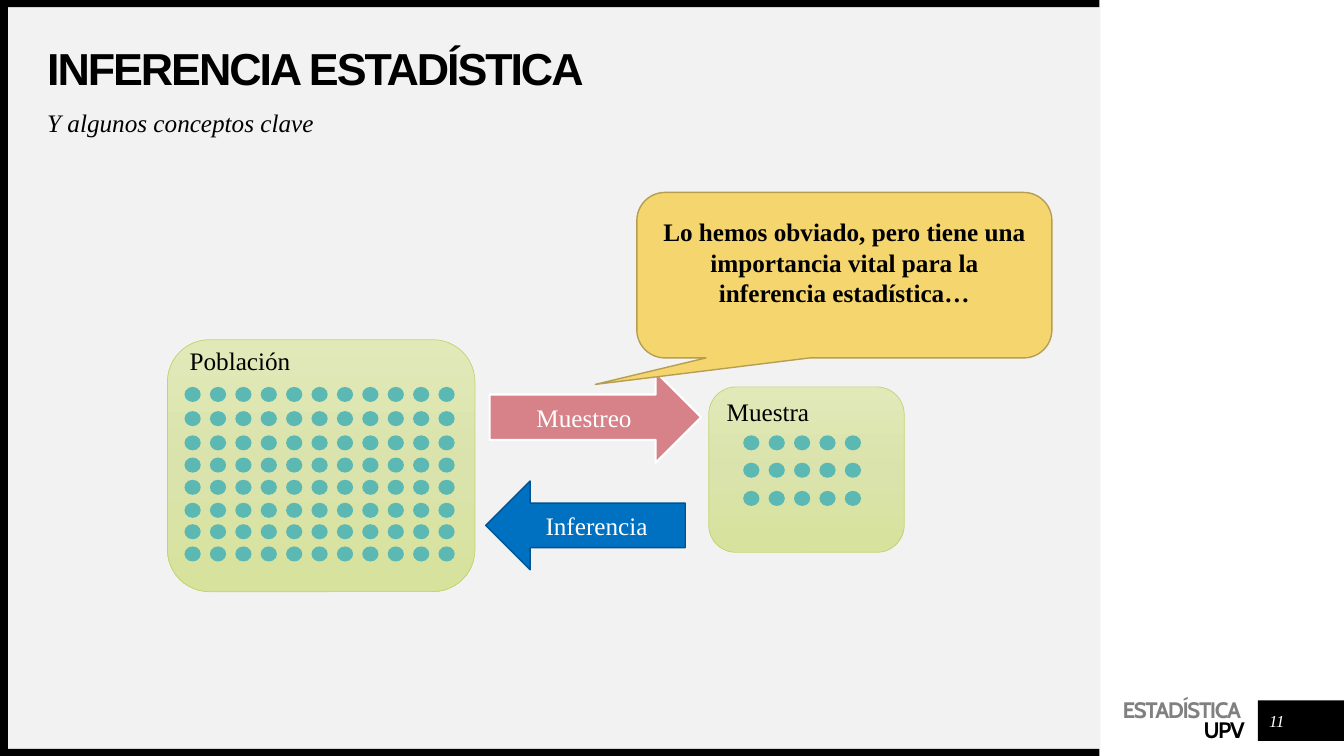
from copy import deepcopy

from pptx import Presentation
from pptx.dml.color import RGBColor
from pptx.enum.shapes import MSO_SHAPE
from pptx.enum.text import MSO_ANCHOR, PP_ALIGN
from pptx.oxml.ns import qn
from pptx.util import Cm, Pt

RECT, ROUNDED, DOT = MSO_SHAPE.RECTANGLE, MSO_SHAPE.ROUNDED_RECTANGLE, MSO_SHAPE.OVAL
RIGHT_ARROW, LEFT_ARROW = MSO_SHAPE.RIGHT_ARROW, MSO_SHAPE.LEFT_ARROW
CALLOUT = MSO_SHAPE.ROUNDED_RECTANGULAR_CALLOUT
TOP, MIDDLE = MSO_ANCHOR.TOP, MSO_ANCHOR.MIDDLE
LEFT, CENTER, RIGHT = PP_ALIGN.LEFT, PP_ALIGN.CENTER, PP_ALIGN.RIGHT

BLACK = RGBColor(0x00, 0x00, 0x00)
WHITE = RGBColor(0xFF, 0xFF, 0xFF)
PANEL = RGBColor(0xF2, 0xF2, 0xF2)
GREY = RGBColor(0x80, 0x80, 0x80)
TEAL = RGBColor(0x5C, 0xB8, 0xB3)
GREENS = (RGBColor(0xE1, 0xE9, 0xB9), RGBColor(0xDA, 0xE3, 0xAB), RGBColor(0xD7, 0xE2, 0x9C))
GREEN_LINE = RGBColor(0xC4, 0xD3, 0x6D)
ROSE = RGBColor(0xD7, 0x81, 0x89)
BLUE = RGBColor(0x00, 0x70, 0xC0)
BLUE_LINE = RGBColor(0x00, 0x53, 0x8E)
YELLOW = RGBColor(0xF5, 0xD6, 0x6E)
YELLOW_LINE = RGBColor(0xB5, 0x9E, 0x51)

SERIF = "Times New Roman"
DOT_W, DOT_H, DOT_PITCH = 0.41, 0.38, 0.64


def write(tf, text, size=18, font=SERIF, color=BLACK, bold=False, italic=False,
          align=LEFT, leading=None, tracking=0):
    """Add one paragraph to a text frame, filling the empty first one."""
    p = tf.paragraphs[0] if not tf.text else tf.add_paragraph()
    p.alignment = align
    if leading:
        p.line_spacing = leading
    r = p.add_run()
    r.text = text
    r.font.name, r.font.size = font, Pt(size)
    r.font.bold, r.font.italic = bold, italic
    r.font.color.rgb = color
    if tracking:
        r.font._element.set("spc", str(int(tracking * 100)))


class Deck:
    def __init__(self):
        self.prs = Presentation()
        self.prs.slide_width, self.prs.slide_height = Cm(33.87), Cm(19.05)
        self.s = self.prs.slides.add_slide(self.prs.slide_layouts[6])

    def frame(self, sp, anchor, margins):
        tf = sp.text_frame
        tf.word_wrap = True
        tf.vertical_anchor = anchor
        (tf.margin_left, tf.margin_top,
         tf.margin_right, tf.margin_bottom) = [Cm(m) for m in margins]
        return tf

    def text(self, x, y, w, h, anchor=TOP, margins=(0, 0, 0, 0)):
        sp = self.s.shapes.add_textbox(Cm(x), Cm(y), Cm(w), Cm(h))
        return self.frame(sp, anchor, margins)

    def shape(self, kind, x, y, w, h, fill, line=None, width=1):
        sp = self.s.shapes.add_shape(kind, Cm(x), Cm(y), Cm(w), Cm(h))
        sp.shadow.inherit = False
        sp.fill.solid()
        sp.fill.fore_color.rgb = fill
        if line is None:
            sp.line.fill.background()
        else:
            sp.line.color.rgb, sp.line.width = line, Pt(width)
        return sp

    def group_box(self, name, x, y, w, h, anchor, margins):
        sp = self.shape(ROUNDED, x, y, w, h, GREENS[0], GREEN_LINE, 0.5)
        sp.fill.gradient()
        sp.fill.gradient_angle = 270
        stops = sp.element.spPr.find(".//" + qn("a:gsLst"))
        stops.insert(1, deepcopy(stops[0]))
        for stop, color, position in zip(sp.fill.gradient_stops, GREENS, (0, 0.5, 1)):
            stop.color.rgb, stop.position = color, position
        write(self.frame(sp, anchor, margins), name)

    def dots(self, x, tops, columns):
        for y in tops:
            for i in range(columns):
                self.shape(DOT, x + i * DOT_PITCH, y, DOT_W, DOT_H, TEAL)

    def label(self, sp, text, margins=(0.25, 0.13, 0.25, 0.13), **style):
        write(self.frame(sp, MIDDLE, margins), text, align=CENTER, **style)


def main():
    d = Deck()

    # Background panel and black border
    d.shape(RECT, 0.2, 0.18, 27.53, 18.69, PANEL)
    d.shape(RECT, 31.7, 17.65, 2.17, 1.02, BLACK)
    for bar in ((0, 18.87, 27.71, 0.18), (0, 0, 27.71, 0.18), (0, 0.09, 0.2, 18.96)):
        d.shape(RECT, *bar, BLACK)

    # Footer: course name and page number
    tf = d.text(26.75, 17.63, 4.62, 1.12, margins=(0, 0.1, 0, 0))
    for word, color in (("ESTADÍSTICA ", GREY), ("UPV", BLACK)):
        write(tf, word, size=16, font="Cabin", color=color, bold=True,
              align=RIGHT, leading=Pt(14), tracking=-1)
    write(d.text(31.8, 17.78, 0.76, 0.76, MIDDLE), "11",
          size=12, color=WHITE, italic=True, align=CENTER)

    # Title and subtitle
    write(d.text(1.19, 1.19, 25.55, 1.19, MIDDLE), "INFERENCIA ESTADÍSTICA",
          size=32, font="Arial", bold=True, leading=0.9, tracking=-1.5)
    write(d.text(1.19, 2.79, 25.55, 0.99), "Y algunos conceptos clave",
          italic=True, leading=0.9)

    # Population and sample
    d.group_box("Población", 4.22, 8.56, 7.75, 6.35, MIDDLE, (0.25, 0, 0.25, 5.28))
    d.dots(4.65, (9.75, 10.36, 10.97, 11.53, 12.09, 12.67, 13.21, 13.77), 11)
    d.group_box("Muestra", 17.86, 9.75, 4.93, 4.17, TOP, (0.25, 0.03, 0.25, 0))
    d.dots(18.73, (10.97, 11.66, 12.37), 5)

    # Arrows and callout
    sampling = d.shape(RIGHT_ARROW, 12.34, 9.37, 5.33, 2.29, ROSE, WHITE, 1.5)
    d.label(sampling, "Muestreo", color=WHITE)
    callout = d.shape(CALLOUT, 16.05, 4.85, 10.46, 4.17, YELLOW, YELLOW_LINE)
    for i, value in enumerate((-0.6, 0.66, 0.17)):
        callout.adjustments[i] = value
    d.label(callout, "Lo hemos obviado, pero tiene una importancia vital para la "
            "inferencia estadística…", margins=(0.25, 0.13, 0.25, 0.79), bold=True)
    inference = d.shape(LEFT_ARROW, 12.24, 12.12, 5.03, 2.24, BLUE, BLUE_LINE)
    d.label(inference, "Inferencia", color=WHITE)

    d.prs.save("out.pptx")


if __name__ == "__main__":
    main()
